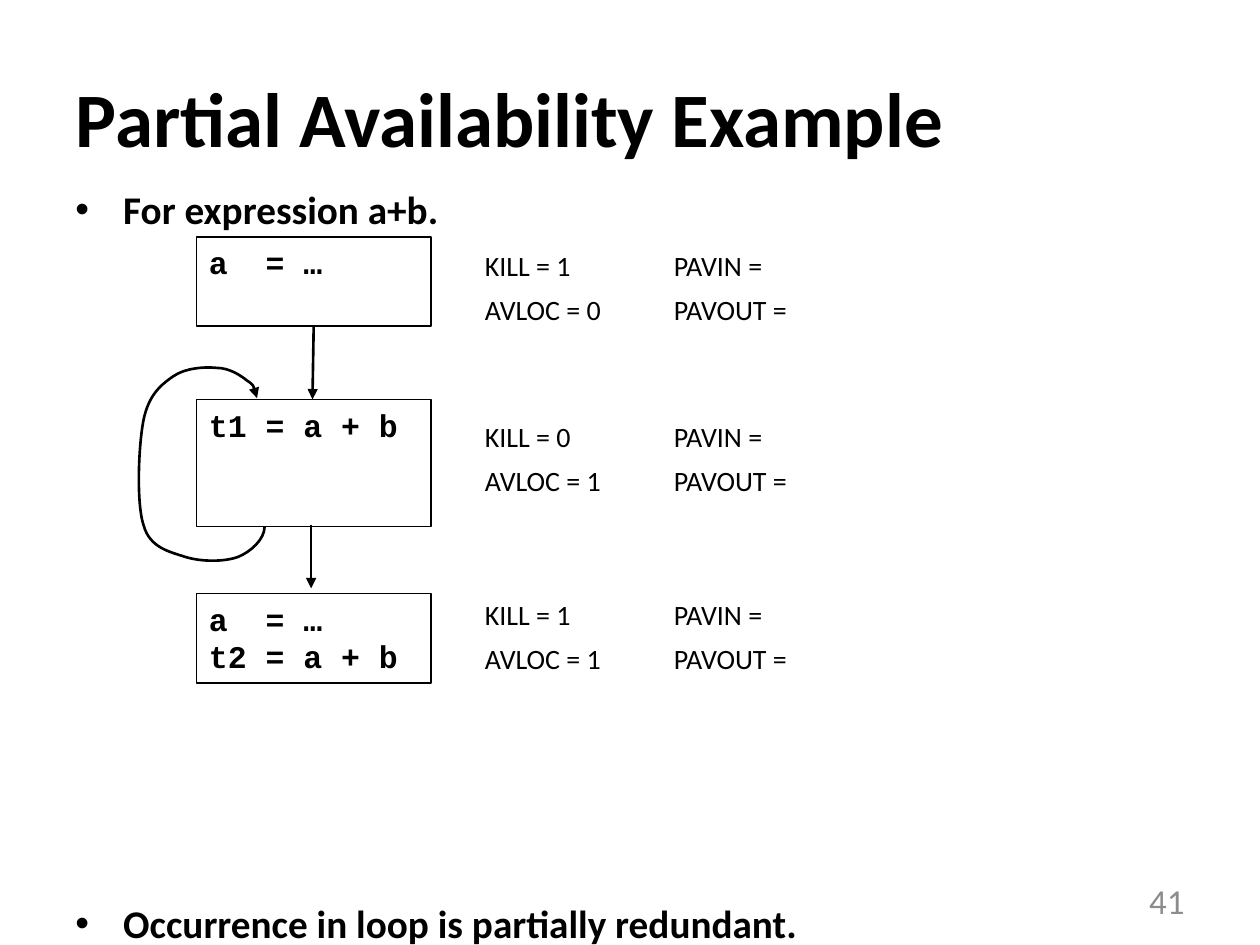
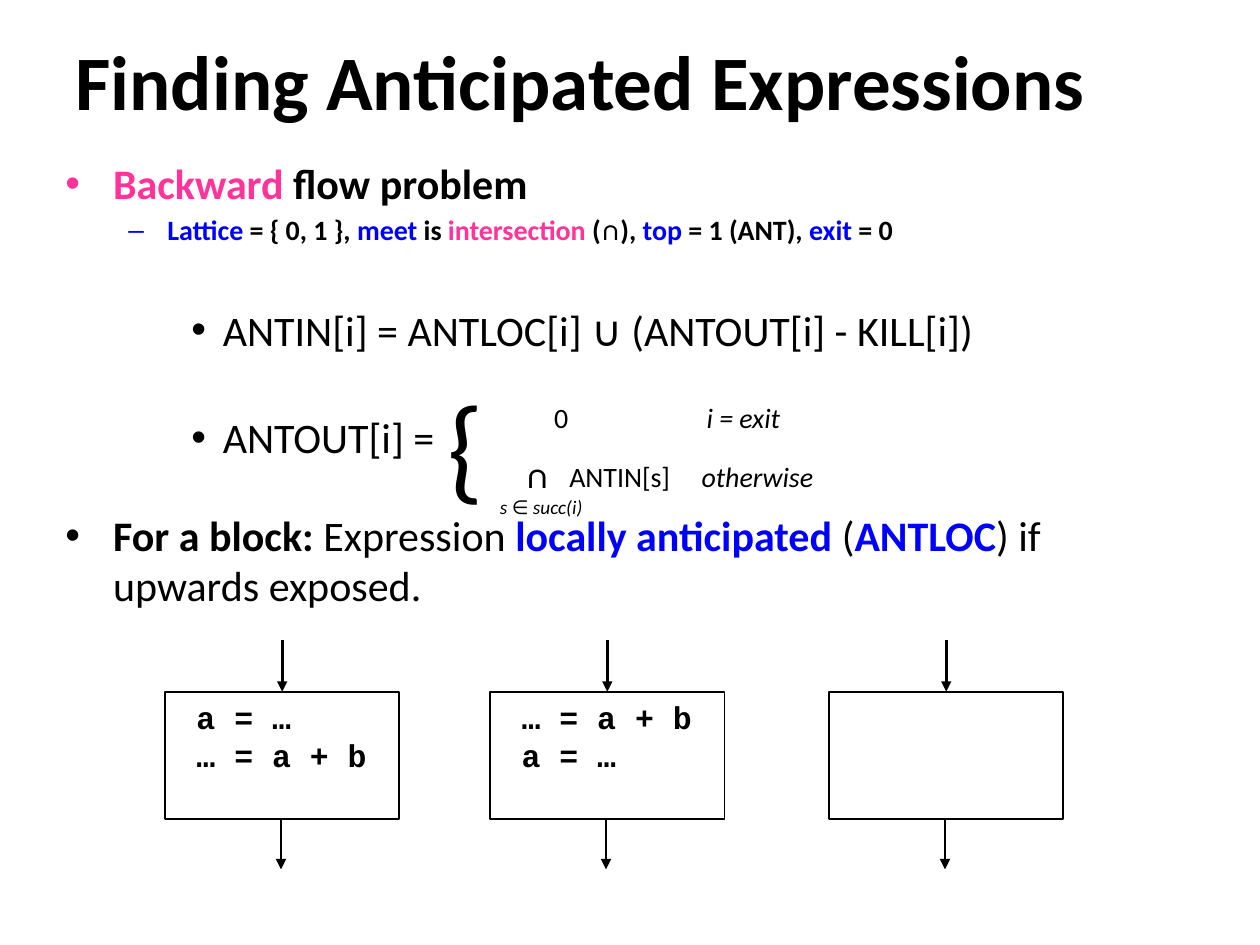
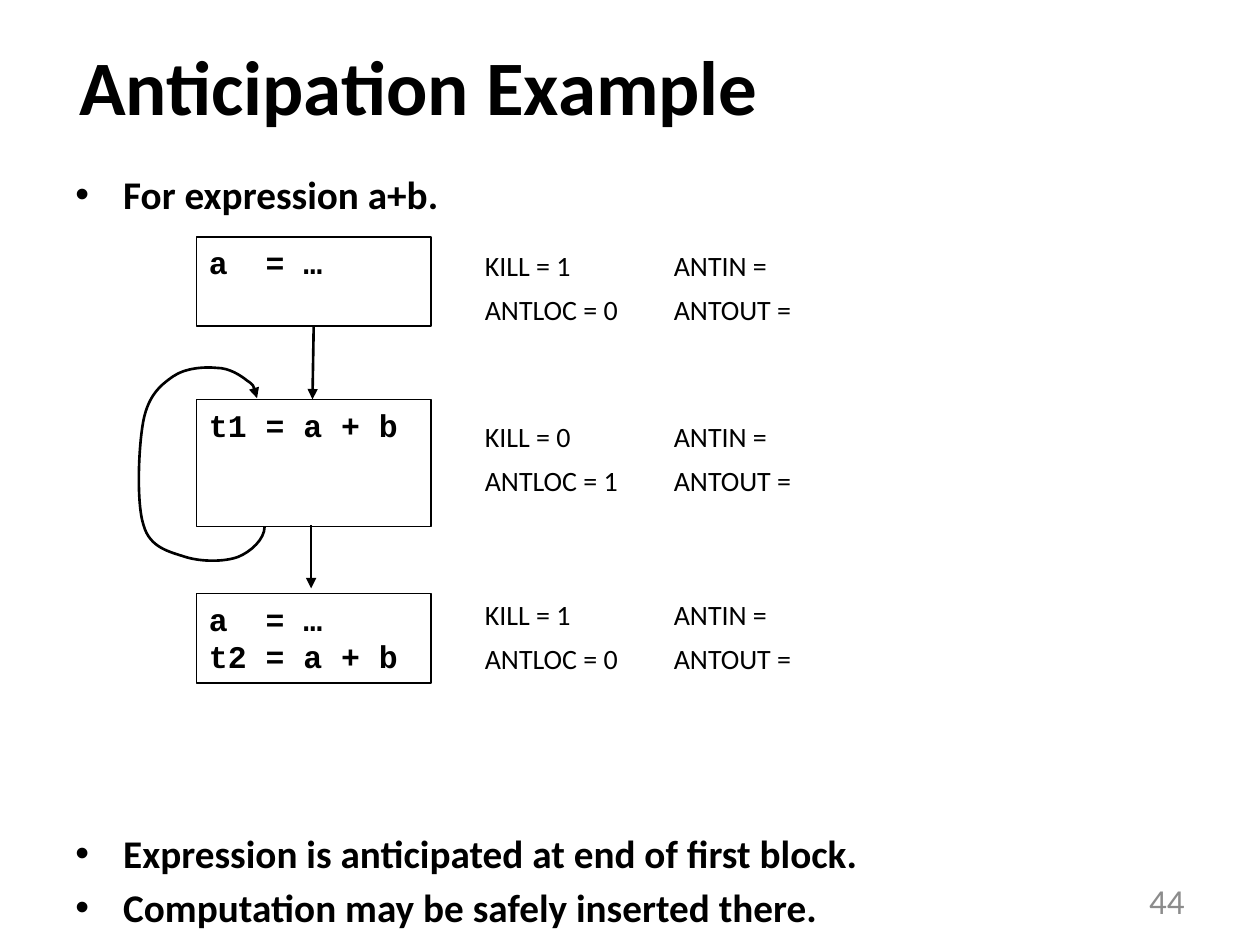
from collections import namedtuple
from lxml.etree import SubElement
from pptx import Presentation
from pptx.dml.color import RGBColor
from pptx.enum.shapes import MSO_CONNECTOR as Connector, MSO_SHAPE as Shape
from pptx.enum.text import MSO_ANCHOR as Anchor, MSO_AUTO_SIZE as AutoSize, PP_ALIGN as Align
from pptx.oxml.ns import qn
from pptx.util import Inches, Pt

COLORS = {"ink": "000000", "grey": "8C8C8C", "pink": "FF3399", "blue": "0000FF"}

TITLE = {"name": "Calibri", "size": Pt(44), "bold": True, "color": "ink"}
POINT = {**TITLE, "size": Pt(22.4)}
BODY = {"name": "Calibri", "size": Pt(24), "color": "ink"}
LABEL = {**BODY, "size": Pt(16)}
NUMBER = {**BODY, "size": Pt(20), "color": "grey"}
CODE = {"name": "Courier New", "size": Pt(18), "bold": True, "color": "ink"}
BOLD = {"bold": True}
BLUE = {"bold": True, "color": "blue"}
PINK = {"bold": True, "color": "pink"}

BULLETS = [("•", 0.38, 0.38), ("–", 0.81, 0.31), ("•", 1.25, 0.25)]
BLOCK_WIDTH = 1.86
TALL, SHORT = 1.01, 0.71
LOOP_START = (1.02, 2.3)
LOOP_CURVES = [
    [(1.02, 2.4), (0.91, 2.5), (0.81, 2.54)],
    [(0.7, 2.58), (0.52, 2.58), (0.39, 2.54)],
    [(0.27, 2.5), (0.11, 2.47), (0.06, 2.29)],
    [(0, 2.11), (0.02, 1.65), (0.06, 1.45)],
    [(0.1, 1.26), (0.19, 1.18), (0.29, 1.11)],
    [(0.39, 1.04), (0.54, 1.03), (0.64, 1.04)],
    [(0.74, 1.04), (0.83, 1.1), (0.88, 1.14)],
    [(0.94, 1.18), (0.95, 1.23), (0.96, 1.28)],
]


class Box(namedtuple("Box", "left top width height")):
    def inner(self, left, top, width, height):
        return Box(self.left + left, self.top + top, width, height)

    def point(self, left, top):
        return Inches(self.left + left), Inches(self.top + top)

    def lengths(self):
        return [Inches(value) for value in self]


def set_values(target, values):
    for name, value in values.items():
        setattr(target, name, value)


def rgb(color):
    return RGBColor.from_string(COLORS[color])


def style_font(font, look):
    set_values(font, {name: value for name, value in look.items() if name != "color"})
    font.color.rgb = rgb(look["color"])


def style_line(line, width):
    line.color.rgb = rgb("ink")
    line.width = Pt(width)


def add_arrowhead(line):
    SubElement(line._get_or_add_ln(), qn("a:tailEnd"), type="triangle")


def add_bullet(para, level):
    mark, margin, hanging = BULLETS[level]
    para.level = level
    properties = para._p.get_or_add_pPr()
    properties.set("marL", str(Inches(margin)))
    properties.set("indent", str(-Inches(hanging)))
    SubElement(properties, qn("a:buFont"), typeface="Arial")
    SubElement(properties, qn("a:buChar"), char=mark)


def write_paragraphs(frame, paragraphs, look, layout=None, level=None):
    for index, content in enumerate(paragraphs):
        para = frame.paragraphs[0] if index == 0 else frame.add_paragraph()
        set_values(para, {"alignment": Align.LEFT, **(layout or {})})
        if level is not None:
            add_bullet(para, level)
        spans = [(content, {})] if isinstance(content, str) else content
        for words, changes in spans:
            span = para.add_run()
            span.text = words
            style_font(span.font, {**look, **changes})


def add_text(page, box, paragraphs, look, layout=None, level=None, anchor=Anchor.TOP):
    frame = page.shapes.add_textbox(*box.lengths()).text_frame
    set_values(frame, {"word_wrap": True, "vertical_anchor": anchor})
    write_paragraphs(frame, paragraphs, look, layout, level)
    return frame


def add_arrow(page, start, end):
    arrow = page.shapes.add_connector(Connector.STRAIGHT, *start, *end)
    style_line(arrow.line, 1.5)
    add_arrowhead(arrow.line)
    SubElement(arrow.element.spPr, qn("a:effectLst"))


def add_block(page, box, code, margin=0.1):
    block = page.shapes.add_shape(Shape.RECTANGLE, *box.lengths())
    block.shadow.inherit = False
    block.fill.background()
    style_line(block.line, 1)
    set_values(block.text_frame, {
        "word_wrap": True, "vertical_anchor": Anchor.TOP, "margin_left": Inches(margin)})
    if code:
        write_paragraphs(block.text_frame, code, CODE)


def add_loop(page, box):
    builder = page.shapes.build_freeform(*box.point(*LOOP_START))
    builder.add_line_segments(
        [box.point(*spot) for curve in LOOP_CURVES for spot in curve], close=False)
    loop = builder.convert_to_shape()
    outline = next(loop.element.iter(qn("a:path")))
    segments = outline.findall(qn("a:lnTo"))
    for first in range(0, len(segments), 3):
        curve = SubElement(outline, qn("a:cubicBezTo"))
        for segment in segments[first:first + 3]:
            curve.append(segment[0])
            outline.remove(segment)
    loop.fill.background()
    style_line(loop.line, 1.5)
    add_arrowhead(loop.line)
    loop.shadow.inherit = False


def add_page(deck, title, box):
    page = deck.slides.add_slide(deck.slide_layouts[5])
    heading = page.shapes.title
    set_values(heading, dict(zip(box._fields, box.lengths())))
    set_values(heading.text_frame, {
        "word_wrap": True, "vertical_anchor": Anchor.MIDDLE, "auto_size": AutoSize.NONE})
    write_paragraphs(heading.text_frame, [title], TITLE)
    return page


def add_number(page, number):
    add_text(page, Box(7.17, 6.95, 2.33, 0.4), [number], NUMBER,
             {"alignment": Align.RIGHT}, anchor=Anchor.MIDDLE)


def add_points(page, box, points):
    add_text(page, box, points, POINT, {"space_before": Pt(4)}, 0)


def add_flow(page, box, local_name, local_values, results):
    blocks = [(0, SHORT, ["a  = …"]), (1.29, TALL, ["t1 = a + b"]),
              (2.83, SHORT, ["a  = …", "t2 = a + b"])]
    for top, height, code in blocks:
        add_block(page, box.inner(0.48, top, BLOCK_WIDTH, height), code)
    add_arrow(page, box.point(1.41, 0.7), box.point(1.4, 1.29))
    add_arrow(page, box.point(1.39, 2.29), box.point(1.39, 2.79))
    add_loop(page, box)
    facts = zip([0.04, 1.4, 2.81], [1, 0, 1], local_values)
    for top, kill, local in facts:
        columns = [(2.67, [f"KILL = {kill}", f"{local_name} = {local}"]),
                   (4.17, [f"{name} =" for name in results])]
        for left, lines in columns:
            add_text(page, box.inner(left, top, 1.4, 0.72), lines, LABEL,
                     {"space_before": Pt(6)})


def add_example(deck, title, title_box, points_top, local_name, local_values,
                results, conclusions, conclusions_top, number):
    page = add_page(deck, title, title_box)
    add_points(page, Box(0.5, points_top, 9, 0.48), ["For expression a+b."])
    add_flow(page, Box(1.08, 1.88, 5.4, 3.54), local_name, local_values, results)
    add_points(page, Box(0.5, conclusions_top, 9, 0.41 * len(conclusions)), conclusions)
    add_number(page, number)


def add_equations(page, box):
    frame = add_text(page, box, [[("Backward", PINK), (" flow problem", BOLD)]], BODY, level=0)
    lattice = [("Lattice", BLUE), (" = { 0, 1 }, ", BOLD), ("meet", BLUE), (" is ", BOLD),
               ("intersection", PINK), (" (∩), ", BOLD), ("top", BLUE),
               (" = 1 (ANT), ", BOLD), ("exit", BLUE), (" = 0", BOLD)]
    local = [("For a block: ", BOLD), ("Expression ", {}), ("locally anticipated ", BLUE),
             ("(", {}), ("ANTLOC", BLUE), (") if upwards exposed.", {})]
    double = {"line_spacing": 2.0, "space_before": Pt(4)}
    rows = [
        (lattice, LABEL, {"space_before": Pt(3)}, 1),
        ([("ANTIN[i] = ANTLOC[i] ∪ (ANTOUT[i] - KILL[i])", {})], BODY, double, 2),
        ([("ANTOUT[i] =", {})], BODY, double, 2),
        (local, BODY, {"space_before": Pt(27)}, 0),
    ]
    for spans, look, layout, level in rows:
        para = frame.add_paragraph()
        set_values(para, layout)
        add_bullet(para, level)
        for words, changes in spans:
            span = para.add_run()
            span.text = words
            style_font(span.font, {**look, **changes})


def add_cases(page, box):
    italic = {"italic": True}
    parts = [
        (0, 0, 0.65, 1.21, "{", {"size": Pt(66)}),
        (0.85, 0.21, 0.4, 0.37, "0", {}),
        (2.06, 0.21, 1, 0.37, "i = exit", italic),
        (0.62, 0.63, 0.45, 0.44, "∩", {"size": Pt(20), "bold": True}),
        (0.97, 0.68, 1.1, 0.37, "ANTIN[s]", {}),
        (2.02, 0.68, 1.2, 0.37, "otherwise", italic),
        (0.42, 0.96, 1, 0.29, "s ∈ succ(i)", {"size": Pt(11), **italic}),
    ]
    for left, top, width, height, words, changes in parts:
        add_text(page, box.inner(left, top, width, height), [words], {**LABEL, **changes})


def add_single_block(page, box, code):
    add_arrow(page, box.point(0.93, 0), box.point(0.93, 0.41))
    add_block(page, box.inner(0, 0.41, BLOCK_WIDTH, TALL), code, margin=0.25)
    add_arrow(page, box.point(0.92, 1.41), box.point(0.92, 1.82))


def add_definition(deck):
    page = add_page(deck, "Finding Anticipated Expressions", Box(0.5, 0.01, 9, 1.25))
    add_equations(page, Box(0.42, 1.2, 9, 3.7))
    add_cases(page, Box(3.45, 2.92, 3.2, 1.25))
    blocks = [(1.31, ["a = …", "… = a + b"]), (3.89, ["… = a + b", "a = …"]), (6.58, [])]
    for left, code in blocks:
        add_single_block(page, Box(left, 5.08, BLOCK_WIDTH, 1.82), code)


def main():
    deck = Presentation()
    set_values(deck, {"slide_width": Inches(10), "slide_height": Inches(7.5)})
    add_example(deck, "Partial Availability Example", Box(0.5, 0.3, 9, 1.25), 1.42,
                "AVLOC", [0, 1, 1], ["PAVIN", "PAVOUT"],
                ["Occurrence in loop is partially redundant."], 7.09, "41")
    add_definition(deck)
    add_example(deck, "Anticipation Example", Box(0.53, 0.05, 9, 1.25), 1.3,
                "ANTLOC", [0, 1, 0], ["ANTIN", "ANTOUT"],
                ["Expression is anticipated at end of first block.",
                 "Computation may be safely inserted there."], 6.53, "44")
    deck.save("out.pptx")


if __name__ == "__main__":
    main()
